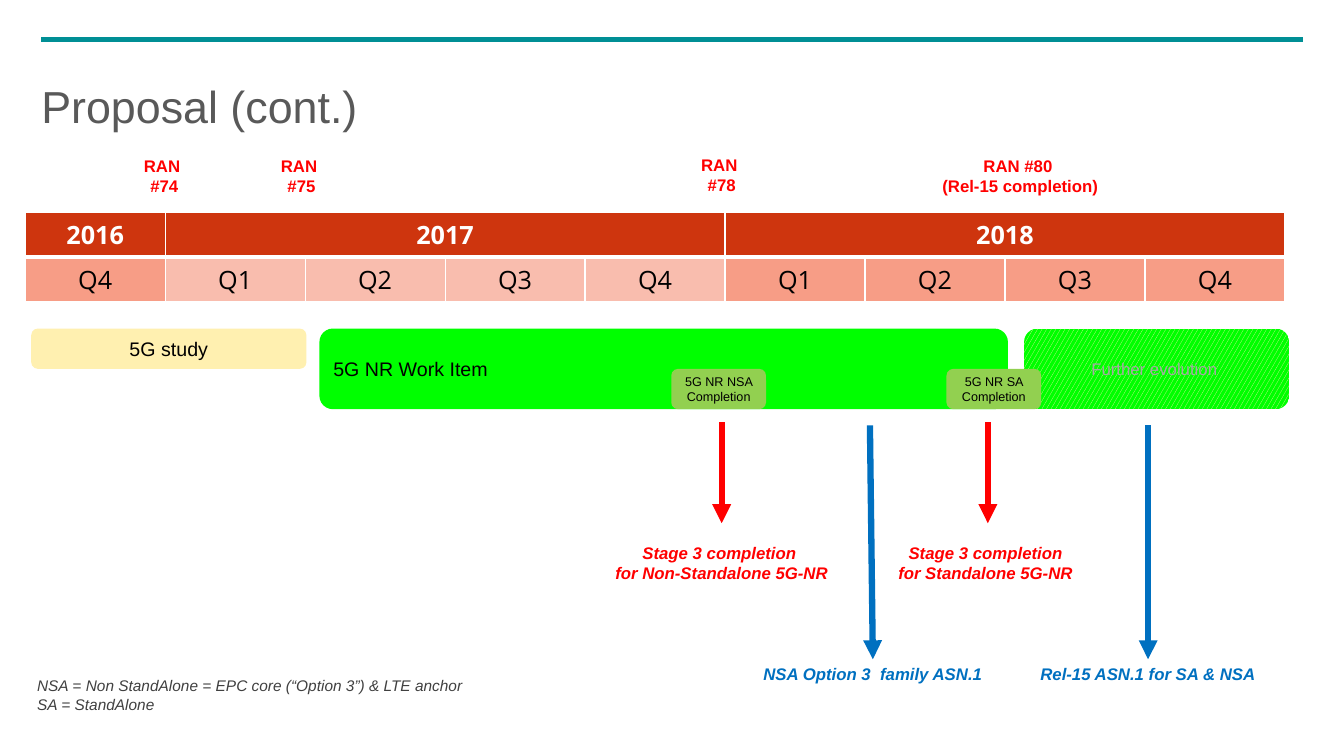
from copy import deepcopy

from pptx import Presentation
from pptx.dml.color import RGBColor
from pptx.enum.dml import MSO_PATTERN
from pptx.enum.shapes import MSO_CONNECTOR, MSO_SHAPE
from pptx.enum.text import MSO_ANCHOR, PP_ALIGN
from pptx.oxml.ns import qn
from pptx.util import Pt
from lxml.etree import SubElement

COLORS = {
    "teal": "008F95", "title": "595959", "note": "404040", "white": "FFFFFF",
    "black": "000000", "header": "CE350E", "dark_quarter": "F79D86",
    "light_quarter": "F9BDAE", "cream": "FFF0B0", "green": "00FF00",
    "olive": "92D050", "red": "FF0000", "blue": "0070C0", "gray": "A6A6A6",
}

# Year, quarters, quarter fill
YEARS = [
    ("2016", ["Q4"], "dark_quarter"),
    ("2017", ["Q1", "Q2", "Q3", "Q4"], "light_quarter"),
    ("2018", ["Q1", "Q2", "Q3", "Q4"], "dark_quarter"),
]
TABLE_LEFT, TABLE_TOP, QUARTER_WIDTH, ROW_HEIGHT = 18, 152, 100, 29.3

# Text, left, width, part of the work bar's height, fill, size, colour, alignment
PHASE_TOP, PHASE_HEIGHT = 234.7, 57.6
PHASES = [
    ("5G study", 22.3, 196.6, "upper", "cream", 14, "black", "CENTER"),
    ("5G NR Work Item", 228.2, 491.8, "full", "green", 14, "black", "LEFT"),
    ("5G NR NSA Completion", 479.5, 67.7, "lower", "olive", 9, "black", "CENTER"),
    ("Further evolution ", 731.5, 189.4, "full", "pattern", 12, "gray", "CENTER"),
    ("5G NR SA Completion", 676.1, 67.7, "lower", "olive", 9, "black", "CENTER"),
]
PARTS = {"full": (0, 1), "upper": (0, 0.5), "lower": (0.5, 0.5)}

# Text, left, top, width, height
MEETINGS = [
    ("RAN \n#74", 89.3, 107.5, 56.2, 36),
    ("RAN \n#75", 187.2, 107.8, 56.2, 36),
    ("RAN \n#78", 487.4, 106.7, 56.2, 36),
    ("RAN #80\n (Rel-15 completion)", 642.2, 107.8, 169.9, 36),
]
# Colour, text, left, top, width, height, arrow start x, arrow end x
MILESTONES = [
    ("red", "Stage 3 completion \nfor Non-Standalone 5G-NR ",
     431.3, 383.8, 168.5, 36, 515.5, 515.5),
    ("red", "Stage 3 completion \nfor Standalone 5G-NR ",
     621.4, 383.8, 168.5, 36, 705.6, 705.6),
    ("blue", "NSA Option 3  family ASN.1",
     527, 470.9, 193, 21.8, 621.4, 623.5),
    ("blue", "Rel-15 ASN.1 for SA & NSA",
     735.8, 470.9, 168.5, 21.8, 820.1, 820.1),
]
ARROW_SPANS = {"red": (301.7, 373.7), "blue": (303.8, 470.9)}
NOTES = ["NSA = Non StandAlone = EPC core (“Option 3”) & LTE anchor",
         "SA = StandAlone"]


def rgb(name):
    """Return the named colour."""
    return RGBColor.from_string(COLORS[name])


def write(tf, texts, color, align="CENTER", **font):
    """Fill a text frame with one paragraph per text, all in one format."""
    tf.word_wrap = True
    formats = {"name": "Arial", **font, "size": Pt(font["size"])}
    for i, text in enumerate(texts):
        p = tf.add_paragraph() if i else tf.paragraphs[0]
        p.text = text
        p.alignment = getattr(PP_ALIGN, align)
        for r in p.runs:
            for key, value in formats.items():
                setattr(r.font, key, value)
            r.font.color.rgb = rgb(color)
        for br in p._p.findall(qn("a:br")):
            br.append(deepcopy(p.runs[0]._r.rPr))


def add_text(s, box, texts, color, **style):
    """Add a text box at box = left, top, width, height."""
    write(s.shapes.add_textbox(*map(Pt, box)).text_frame, texts, color, **style)


def add_line(s, start, end, color, width, arrow=False):
    """Add a straight line, with a triangle at its end if asked."""
    line = s.shapes.add_connector(MSO_CONNECTOR.STRAIGHT, *map(Pt, start + end))
    line.line.color.rgb = rgb(color)
    line.line.width = Pt(width)
    if arrow:
        SubElement(line.line._get_or_add_ln(), qn("a:tailEnd"), type="triangle")
    SubElement(line._element.spPr, qn("a:effectLst"))


def format_cell(cell, text, fill, color, bold, bottom):
    """Set a cell's text, white borders and fill."""
    write(cell.text_frame, [text], color, size=18, name="Open Sans", bold=bold)
    tcPr = cell._tc.get_or_add_tcPr()
    for side, width in (("L", 1), ("R", 1), ("T", 1), ("B", bottom)):
        ln = SubElement(tcPr, qn(f"a:ln{side}"), w=str(Pt(width)))
        SubElement(SubElement(ln, qn("a:solidFill")), qn("a:srgbClr"),
                   val=COLORS["white"])
    cell.fill.solid()
    cell.fill.fore_color.rgb = rgb(fill)


def add_calendar(s):
    """Add the table of years and quarters."""
    count = sum(len(quarters) for _, quarters, _ in YEARS)
    table = s.shapes.add_table(2, count, *map(Pt, (
        TABLE_LEFT, TABLE_TOP, count * QUARTER_WIDTH, 2 * ROW_HEIGHT))).table
    col = 0
    for year, quarters, fill in YEARS:
        last = col + len(quarters) - 1
        if last > col:
            table.cell(0, col).merge(table.cell(0, last))
        for i, quarter in enumerate(quarters):
            format_cell(table.cell(0, col + i), "" if i else year,
                        "header", "white", True, 3)
            format_cell(table.cell(1, col + i), quarter, fill, "black", False, 1)
        col = last + 1


def add_phase(s, text, left, width, part, fill, size, color, align):
    """Add one rounded bar of the schedule."""
    offset, share = PARTS[part]
    sp = s.shapes.add_shape(MSO_SHAPE.ROUNDED_RECTANGLE, *map(Pt, (
        left, PHASE_TOP + offset * PHASE_HEIGHT, width, share * PHASE_HEIGHT)))
    sp.shadow.inherit = False
    sp.line.fill.background()
    if fill == "pattern":
        sp.fill.patterned()
        sp.fill.pattern = MSO_PATTERN.LARGE_CONFETTI
        sp.fill.fore_color.rgb = rgb("cream")
        sp.fill.back_color.rgb = rgb("green")
    else:
        sp.fill.solid()
        sp.fill.fore_color.rgb = rgb(fill)
    sp.text_frame.vertical_anchor = MSO_ANCHOR.MIDDLE
    write(sp.text_frame, [text], color, align, size=size)


def add_title(s, text):
    """Place and format the title placeholder."""
    title = s.shapes.title
    box = {"left": 22.3, "top": 56.9, "width": 900, "height": 42.5}
    for key, value in box.items():
        setattr(title, key, Pt(value))
    tf = title.text_frame
    tf.vertical_anchor = MSO_ANCHOR.MIDDLE
    write(tf, [text], "title", "LEFT", size=32)
    tf.paragraphs[0].line_spacing = 0.9


prs = Presentation()
prs.slide_width, prs.slide_height = Pt(960), Pt(540)
s = prs.slides.add_slide(prs.slide_layouts[5])

add_line(s, (29.5, 28.1), (931, 28.1), "teal", 3.75)
add_title(s, "Proposal (cont.)")
add_calendar(s)
for phase in PHASES:
    add_phase(s, *phase)
for text, *box in MEETINGS:
    add_text(s, box, [text], "red", size=12, bold=True)
for color, text, *box, start_x, end_x in MILESTONES:
    top, bottom = ARROW_SPANS[color]
    add_text(s, box, [text], color, size=12, bold=True, italic=True)
    add_line(s, (start_x, top), (end_x, bottom), color, 4.5, arrow=True)
add_text(s, (19.4, 479.5, 327.6, 33.8), NOTES, "note", align="LEFT",
         size=11, italic=True)

prs.save("out.pptx")
